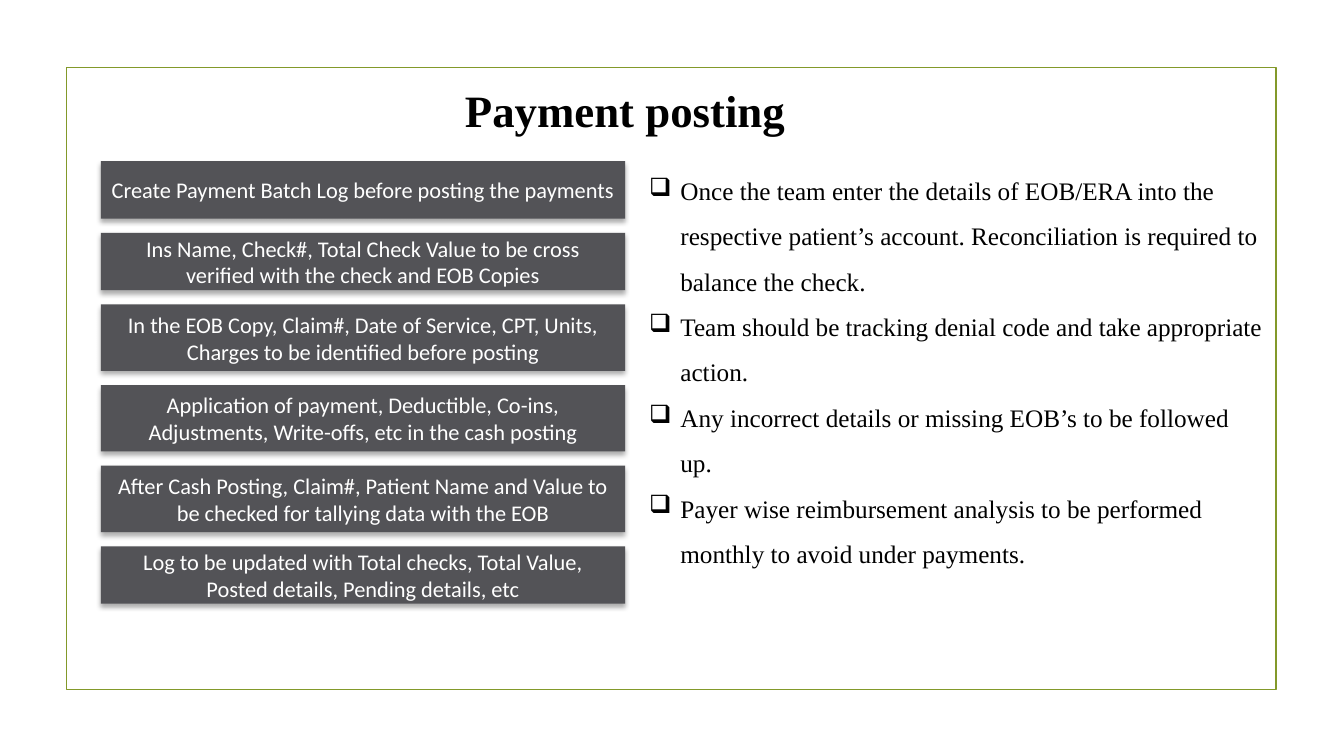
from lxml import etree
from pptx import Presentation
from pptx.dml.color import RGBColor
from pptx.enum.shapes import MSO_SHAPE
from pptx.enum.text import MSO_ANCHOR, MSO_AUTO_SIZE, PP_ALIGN
from pptx.oxml import parse_xml
from pptx.oxml.ns import nsdecls, qn
from pptx.util import Pt

# Content
TITLE = "Payment posting"
STEPS = [  # text, height in px
    ("Create Payment Batch Log before posting the payments", 57),
    ("Ins Name, Check#, Total Check Value to be cross verified with the check and EOB Copies", 57),
    ("In the EOB Copy, Claim#, Date of Service, CPT, Units, Charges to be identified before posting", 66),
    ("Application of payment, Deductible, Co-ins, Adjustments, Write-offs, etc in the cash posting", 66),
    ("After Cash Posting, Claim#, Patient Name and Value to be checked for tallying data with the EOB", 66),
    ("Log to be updated with Total checks, Total Value, Posted details, Pending details, etc", 57),
]
NOTES = [
    "Once the team enter the details of EOB/ERA into the respective patient’s account. "
    "Reconciliation is required to balance the check.",
    "Team should be tracking denial code and take appropriate action.",
    "Any incorrect details or missing EOB’s to be followed up.",
    "Payer wise reimbursement analysis to be performed monthly to avoid under payments.",
]

# Style and layout
GREEN = RGBColor(0x83, 0x99, 0x2A)
GREY = RGBColor(0x53, 0x53, 0x57)
WHITE = RGBColor(0xFF, 0xFF, 0xFF)
BLACK = RGBColor(0x00, 0x00, 0x00)
SANS, SERIF = "Calibri", "Times New Roman"
RECT = MSO_SHAPE.RECTANGLE
CENTER, LEFT = PP_ALIGN.CENTER, PP_ALIGN.LEFT
MIDDLE = MSO_ANCHOR.MIDDLE
GROW = MSO_AUTO_SIZE.SHAPE_TO_FIT_TEXT
PX = 9144  # 100 px to the inch
STEP_LEFT, STEP_TOP, STEP_WIDTH, STEP_GAP = 100, 160, 520, 14
INDENT = 31


def px(*lengths):
    return [n * PX for n in lengths]


def add_text(p, text, font, size, color, align, bold=False):
    p.alignment = align
    r = p.add_run()
    r.text = text
    r.font.name, r.font.size, r.font.bold = font, Pt(size), bold
    r.font.color.rgb = color


def add_rect(*box):
    sp = s.shapes.add_shape(RECT, *px(*box))
    sp.shadow.inherit = False
    return sp


def add_shadow(sp):
    effects = sp._element.spPr.find(qn("a:effectLst"))
    effects.append(parse_xml(
        f'<a:outerShdw {nsdecls("a")} blurRad="{Pt(3.5)}" dist="{Pt(2.2)}" '
        'dir="5400000" rotWithShape="0"><a:srgbClr val="000000">'
        '<a:alpha val="32000"/></a:srgbClr></a:outerShdw>'))


def add_box(*box):
    tf = s.shapes.add_textbox(*px(*box)).text_frame
    tf.word_wrap = True
    tf.auto_size = GROW
    return tf


def add_bullet(p):
    pPr = p._p.get_or_add_pPr()
    pPr.set("marL", str(INDENT * PX))
    pPr.set("indent", str(-INDENT * PX))
    etree.SubElement(pPr, qn("a:buChar")).set("char", "❑")


prs = Presentation()
prs.slide_width, prs.slide_height = px(1333, 750)
s = prs.slides.add_slide(prs.slide_layouts[6])

# Frame
frame = add_rect(66, 67, 1200, 617)
frame.fill.background()
frame.line.color.rgb = GREEN
frame.line.width = Pt(1.25)

# Steps, stacked with equal gaps
top = STEP_TOP
for text, height in STEPS:
    sp = add_rect(STEP_LEFT, top, STEP_WIDTH, height)
    sp.fill.solid()
    sp.fill.fore_color.rgb = GREY
    sp.line.fill.background()
    add_shadow(sp)
    tf = sp.text_frame
    tf.word_wrap = True
    tf.vertical_anchor = MIDDLE
    add_text(tf.paragraphs[0], text, SANS, 16, WHITE, CENTER)
    top += height + STEP_GAP

# Notes
tf = add_box(634, 154, 632, 419)
for i, note in enumerate(NOTES):
    p = tf.add_paragraph() if i else tf.paragraphs[0]
    add_bullet(p)
    p.line_spacing = 1.5
    add_text(p, note, SERIF, 18, BLACK, LEFT)

# Title
tf = add_box(427, 77, 386, 64)
add_text(tf.paragraphs[0], TITLE, SERIF, 32, BLACK, CENTER, bold=True)

prs.save("out.pptx")
